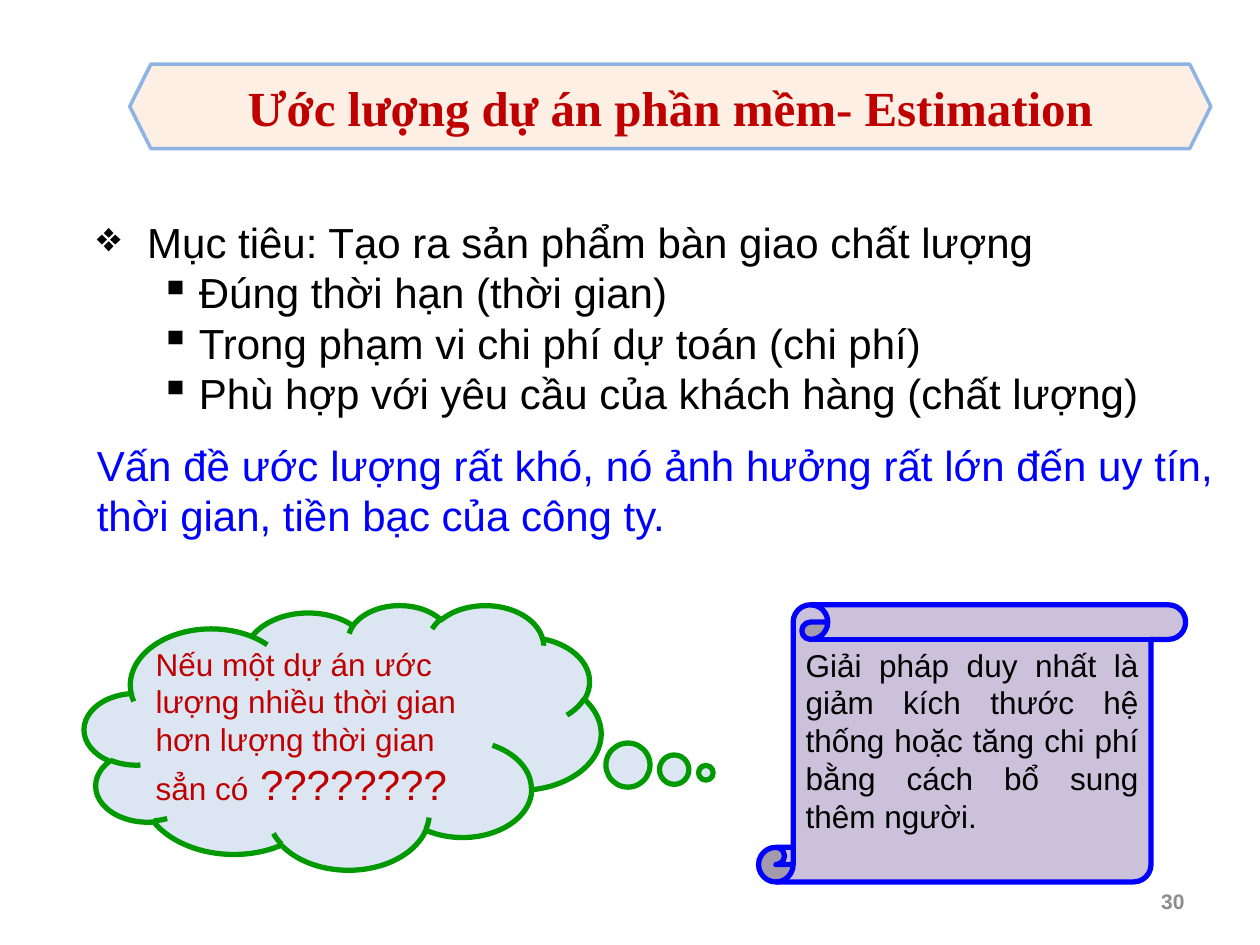
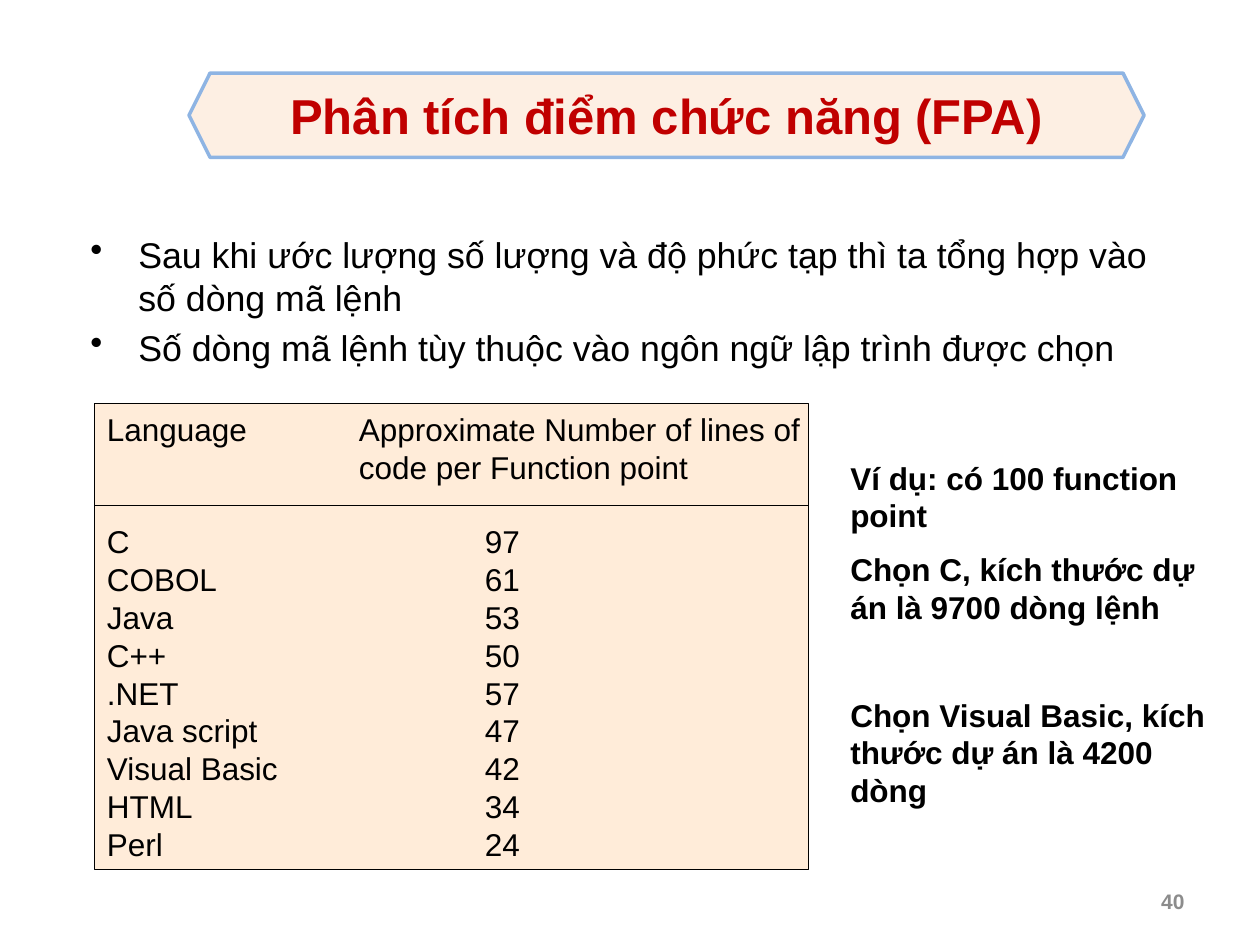
from lxml import etree
from pptx import Presentation, util as u
from pptx.dml.color import RGBColor
from pptx.enum import shapes, text
from pptx.oxml.ns import qn

BLACK = RGBColor(0x00, 0x00, 0x00)
BLUE = RGBColor(0x00, 0x00, 0xFF)
RED = RGBColor(0xC0, 0x00, 0x00)
GREEN = RGBColor(0x00, 0x99, 0x00)
GREY = RGBColor(0x8C, 0x8C, 0x8C)
BAND_FILL = RGBColor(0xFD, 0xEF, 0xE3)
BAND_LINE = RGBColor(0x8E, 0xB4, 0xE3)
CLOUD_FILL = RGBColor(0xDC, 0xE6, 0xF2)
SCROLL_FILL = RGBColor(0xCC, 0xC1, 0xDA)
TABLE_FILL = RGBColor(0xFF, 0xEC, 0xD9)

SHAPE = shapes.MSO_SHAPE
ALIGN = text.PP_ALIGN
TOP, MIDDLE = text.MSO_ANCHOR.TOP, text.MSO_ANCHOR.MIDDLE


def add_box(s, at, kind=None, fill=None, line=None, width=1, anchor=TOP):
    at = [u.Inches(v) for v in at]
    if kind is None:
        sp = s.shapes.add_textbox(*at)
    else:
        sp = s.shapes.add_shape(kind, *at)
        sp.shadow.inherit = False
        sp.fill.solid()
        sp.fill.fore_color.rgb = fill
        sp.line.color.rgb = line
        sp.line.width = u.Pt(width)
    sp.text_frame.word_wrap = True
    sp.text_frame.vertical_anchor = anchor
    return sp


def write(tf, words, size=18, color=BLACK, bold=False, font="Arial", align=ALIGN.LEFT,
          before=0, bullet=None, left=0, hang=0, tab=None, same_line=False):
    p = tf.paragraphs[-1]
    if p.runs and not same_line:
        p = tf.add_paragraph()
    if not same_line:
        p.alignment = align
        p.space_before = u.Pt(before)
        pPr = p._p.get_or_add_pPr()
        if bullet:
            pPr.set("marL", str(u.Inches(left)))
            pPr.set("indent", str(-u.Inches(hang)))
            etree.SubElement(pPr, qn("a:buChar"), char=bullet)
        if tab:
            tabs = etree.SubElement(pPr, qn("a:tabLst"))
            etree.SubElement(tabs, qn("a:tab"), pos=str(u.Inches(tab)), algn="l")
    r = p.add_run()
    r.text = words
    r.font.name = font
    r.font.size = u.Pt(size)
    r.font.bold = bold
    r.font.color.rgb = color


prs = Presentation()
prs.slide_width, prs.slide_height = u.Inches(10), u.Inches(7.5)

slides = []
for title, font, at, number in [
    ("Ước lượng dự án phần mềm- Estimation", "Times New Roman", (1.03, 0.51, 8.58, 0.67), "30"),
    ("Phân tích điểm chức năng (FPA)", "Arial", (1.5, 0.58, 7.58, 0.67), "40"),
]:
    s = prs.slides.add_slide(prs.slide_layouts[6])
    band = add_box(s, at, SHAPE.HEXAGON, BAND_FILL, BAND_LINE, 2, MIDDLE)
    write(band.text_frame, title, size=28, color=RED, bold=True, font=font, align=ALIGN.CENTER)
    footer = add_box(s, (7.17, 6.95, 2.33, 0.4), anchor=MIDDLE)
    write(footer.text_frame, number, size=12, color=GREY, bold=True, align=ALIGN.RIGHT)
    slides.append(s)

s = slides[0]
tf = add_box(s, (0.67, 1.67, 9.06, 2.73)).text_frame
write(tf, "Mục tiêu: Tạo ra sản phẩm bàn giao chất lượng", size=24, bullet="❖", left=0.4, hang=0.4)
for goal in [
    "Đúng thời hạn (thời gian)",
    "Trong phạm vi chi phí dự toán (chi phí)",
    "Phù hợp với yêu cầu của khách hàng (chất lượng)",
]:
    write(tf, goal, size=24, bullet="▪", left=0.81, hang=0.31)
write(tf, "Vấn đề ước lượng rất khó, nó ảnh hưởng rất lớn đến uy tín, "
      "thời gian, tiền bạc của công ty.", size=24, color=BLUE, align=ALIGN.JUSTIFY, before=12)

cloud = add_box(s, (0.67, 4.8, 4.1, 2.1), SHAPE.CLOUD_CALLOUT, CLOUD_FILL, GREEN, 3)
cloud.adjustments[0], cloud.adjustments[1] = 0.703, 0.135
tf = cloud.text_frame
tf.margin_left = tf.margin_right = tf.margin_top = tf.margin_bottom = 0
write(tf, "Nếu một dự án ước lượng nhiều thời gian hơn lượng thời gian sẳn có", color=RED)
write(tf, " ????????", size=24, color=RED, same_line=True)

scroll = add_box(s, (6.02, 4.8, 3.39, 2.2), SHAPE.VERTICAL_SCROLL, SCROLL_FILL, BLUE, 3)
write(scroll.text_frame, "Giải pháp duy nhất là giảm kích thước hệ thống hoặc tăng chi phí "
      "bằng cách bổ sung thêm người.", align=ALIGN.JUSTIFY)

s = slides[1]
tf = add_box(s, (0.62, 1.8, 8.87, 1.4)).text_frame
for point in [
    "Sau khi ước lượng số lượng và độ phức tạp thì ta tổng hợp vào số dòng mã lệnh",
    "Số dòng mã lệnh tùy thuộc vào ngôn ngữ lập trình được chọn",
]:
    write(tf, point, size=20.4, bullet="•", left=0.38, hang=0.38, before=4 if tf.text else 0)

panel = add_box(s, (0.75, 3.2, 5.67, 3.7), SHAPE.RECTANGLE, TABLE_FILL, BLACK, 0.75, MIDDLE)
tf = panel.text_frame
tf.margin_right = 0
write(tf, "Language\tApproximate Number of lines of", tab=2)
write(tf, "\tcode per Function point", tab=2)
for i, (language, lines) in enumerate([
    ("C", 97), ("COBOL", 61), ("Java", 53), ("C++", 50), (".NET", 57),
    ("Java script", 47), ("Visual Basic", 42), ("HTML", 34), ("Perl", 24),
]):
    write(tf, f"{language}\t{lines}", tab=3, before=0 if i else 21)

rule = s.shapes.add_connector(shapes.MSO_CONNECTOR.STRAIGHT, u.Inches(0.75), u.Inches(4.01),
                              u.Inches(6.42), u.Inches(4.01))
rule.line.color.rgb = BLACK
rule.line.width = u.Pt(0.75)
etree.SubElement(rule._element.spPr, qn("a:effectLst"))

tf = add_box(s, (6.65, 3.59, 3.19, 2.98)).text_frame
for example, before in [
    ("Ví dụ: có 100 function point", 0),
    ("Chọn C, kích thước dự án là 9700 dòng lệnh", 9),
    ("Chọn Visual Basic, kích thước dự án là 4200 dòng", 40),
]:
    write(tf, example, bold=True, before=before)

prs.save("out.pptx")
